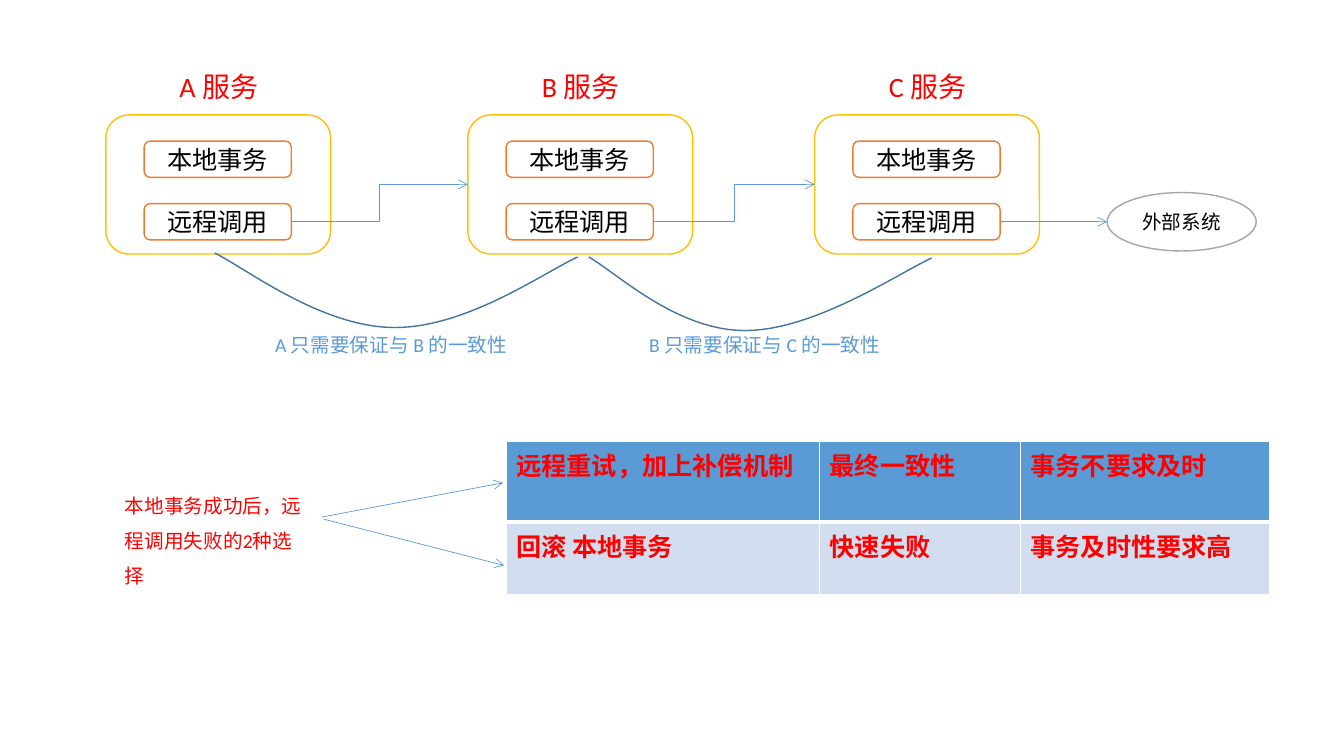
from pptx import Presentation
from pptx.dml.color import RGBColor
from pptx.enum.shapes import MSO_CONNECTOR as Link, MSO_SHAPE as Preset
from pptx.enum.text import MSO_ANCHOR as Anchor, MSO_AUTO_SIZE as AutoSize, PP_ALIGN as Align
from pptx.oxml.ns import qn
from pptx.util import Inches, Pt
from lxml import etree

FONT = "Calibri"
BLACK = RGBColor(0x00, 0x00, 0x00)
WHITE = RGBColor(0xFF, 0xFF, 0xFF)
RED = RGBColor(0xFF, 0x00, 0x00)
GOLD = RGBColor(0xFF, 0xC0, 0x00)
ORANGE = RGBColor(0xED, 0x7D, 0x31)
GREY = RGBColor(0xA5, 0xA5, 0xA5)
BLUE = RGBColor(0x5B, 0x9B, 0xD5)
DARK_BLUE = RGBColor(0x43, 0x73, 0x9E)
PALE_BLUE = RGBColor(0xD2, 0xDE, 0xEF)

SERVICES = [("A", 1.05), ("B", 4.64), ("C", 8.08)]
SERVICE_TOP, SERVICE_WIDTH, SERVICE_HEIGHT = 1.14, 2.23, 1.38
STEPS = [("本地事务", 1.4), ("远程调用", 2.02)]
STEP_INDENT, STEP_WIDTH, STEP_HEIGHT = 0.38, 1.46, 0.36
CALL_Y = 2.2
EXTERNAL_LEFT = 10.98

# Each bow: start point, then cubic segments (two controls and an end point)
BOWS = [
    ((2.13, 2.51), [((2.45, 2.67), (3.18, 3.24), (3.9, 3.25)),
                    ((4.62, 3.26), (5.4, 2.7), (5.73, 2.55))]),
    ((5.84, 2.55), [((6.12, 2.71), (6.71, 3.28), (7.39, 3.28)),
                    ((8.07, 3.28), (8.9, 2.72), (9.24, 2.56))]),
]
BOW_STEPS = 24

CHOICES = [
    (["远程重试，加上补偿机制", "最终一致性", "事务不要求及时"], 0.8, BLUE, 3),
    (["回滚 本地事务", "快速失败", "事务及时性要求高"], 0.72, PALE_BLUE, 1),
]
CHOICE_WIDTHS = [3.11, 1.99, 2.47]


def write(paragraph, text, size, color, bold=False):
    run = paragraph.add_run()
    run.text = text
    run.font.name = FONT
    run.font.size = Pt(size)
    run.font.color.rgb = color
    run.font.bold = bold


def add_outlined(slide, preset, box, outline, text="", size=18):
    shape = slide.shapes.add_shape(preset, *map(Inches, box))
    shape.shadow.inherit = False
    shape.fill.solid()
    shape.fill.fore_color.rgb = WHITE
    shape.line.color.rgb = outline
    shape.line.width = Pt(1)
    if text:
        frame = shape.text_frame
        frame.vertical_anchor = Anchor.MIDDLE
        frame.paragraphs[0].alignment = Align.CENTER
        write(frame.paragraphs[0], text, size, BLACK)


def add_label(slide, box, text, size, color, align=Align.LEFT, spacing=None):
    frame = slide.shapes.add_textbox(*map(Inches, box)).text_frame
    frame.word_wrap = True
    frame.auto_size = AutoSize.SHAPE_TO_FIT_TEXT
    paragraph = frame.paragraphs[0]
    paragraph.alignment = align
    paragraph.line_spacing = spacing
    write(paragraph, text, size, color)


def add_arrow(slide, start, end, kind=Link.STRAIGHT):
    arrow = slide.shapes.add_connector(kind, *map(Inches, start + end))
    arrow.line.color.rgb = BLUE
    arrow.line.width = Pt(0.5)
    etree.SubElement(arrow.line._get_or_add_ln(), qn("a:tailEnd"), type="arrow")
    etree.SubElement(arrow._element.spPr, qn("a:effectLst"))


def bezier(t, *points):
    """Return the point at t on a cubic curve, as (x, y) lengths."""
    weights = ((1 - t) ** 3, 3 * t * (1 - t) ** 2, 3 * t ** 2 * (1 - t), t ** 3)
    return tuple(Inches(sum(w * p[axis] for w, p in zip(weights, points)))
                 for axis in (0, 1))


def add_bow(slide, start, segments):
    builder = slide.shapes.build_freeform(*map(Inches, start))
    pen = start
    for segment in segments:
        builder.add_line_segments(
            [bezier(i / BOW_STEPS, pen, *segment) for i in range(1, BOW_STEPS + 1)],
            close=False)
        pen = segment[-1]
    bow = builder.convert_to_shape()
    bow.shadow.inherit = False
    bow.fill.background()
    bow.line.color.rgb = DARK_BLUE
    bow.line.width = Pt(1)


def add_service(slide, name, left):
    add_outlined(slide, Preset.ROUNDED_RECTANGLE,
                 (left, SERVICE_TOP, SERVICE_WIDTH, SERVICE_HEIGHT), GOLD)
    for step, top in STEPS:
        add_outlined(slide, Preset.ROUNDED_RECTANGLE,
                     (left + STEP_INDENT, top, STEP_WIDTH, STEP_HEIGHT), ORANGE, step)
    add_label(slide, (left + 0.48, 0.64, 1.28, 0.44), f"{name} 服务", 20, RED, Align.CENTER)


def add_calls(slide):
    """Link each remote call to the next service, and the last to the outside."""
    lefts = [left for _, left in SERVICES]
    service_y = SERVICE_TOP + SERVICE_HEIGHT / 2
    call_starts = [(left + STEP_INDENT + STEP_WIDTH, CALL_Y) for left in lefts]
    for start, next_left in zip(call_starts, lefts[1:]):
        add_arrow(slide, start, (next_left, service_y), Link.ELBOW)
    add_arrow(slide, call_starts[-1], (EXTERNAL_LEFT, CALL_Y))


def set_bottom_border(cell, width):
    border = etree.Element(qn("a:lnB"), w=str(Pt(width)))
    fill = etree.SubElement(border, qn("a:solidFill"))
    etree.SubElement(fill, qn("a:srgbClr"), val=str(WHITE))
    cell._tc.get_or_add_tcPr().insert(0, border)


def add_choices(slide):
    height = sum(choice[1] for choice in CHOICES)
    table = slide.shapes.add_table(
        len(CHOICES), len(CHOICE_WIDTHS), Inches(5.02), Inches(4.38),
        Inches(sum(CHOICE_WIDTHS)), Inches(height)).table
    for column, width in zip(table.columns, CHOICE_WIDTHS):
        column.width = Inches(width)
    for row, (texts, row_height, fill, border) in zip(table.rows, CHOICES):
        row.height = Inches(row_height)
        for cell, text in zip(row.cells, texts):
            cell.fill.solid()
            cell.fill.fore_color.rgb = fill
            set_bottom_border(cell, border)
            write(cell.text_frame.paragraphs[0], text, 18, RED, bold=True)


def main():
    deck = Presentation()
    deck.slide_width, deck.slide_height = Inches(13.33), Inches(7.5)
    slide = deck.slides.add_slide(deck.slide_layouts[6])

    for name, left in SERVICES:
        add_service(slide, name, left)
    add_outlined(slide, Preset.OVAL, (EXTERNAL_LEFT, 1.91, 1.48, 0.58), GREY, "外部系统", 14)
    add_calls(slide)

    for start, segments in BOWS:
        add_bow(slide, start, segments)
    for caller, callee, left in [("A", "B", 2.63), ("B", "C", 6.34)]:
        add_label(slide, (left, 3.25, 2.63, 0.34),
                  f"{caller} 只需要保证与 {callee} 的一致性", 14, BLUE)

    add_label(slide, (1.14, 4.73, 2.05, 0.81),
              "本地事务成功后，远程调用失败的2种选择", 14, RED, spacing=1.5)
    add_choices(slide)
    add_arrow(slide, (3.19, 5.13), (4.99, 4.79))
    add_arrow(slide, (3.21, 5.15), (5, 5.61))

    deck.save("out.pptx")


if __name__ == "__main__":
    main()
